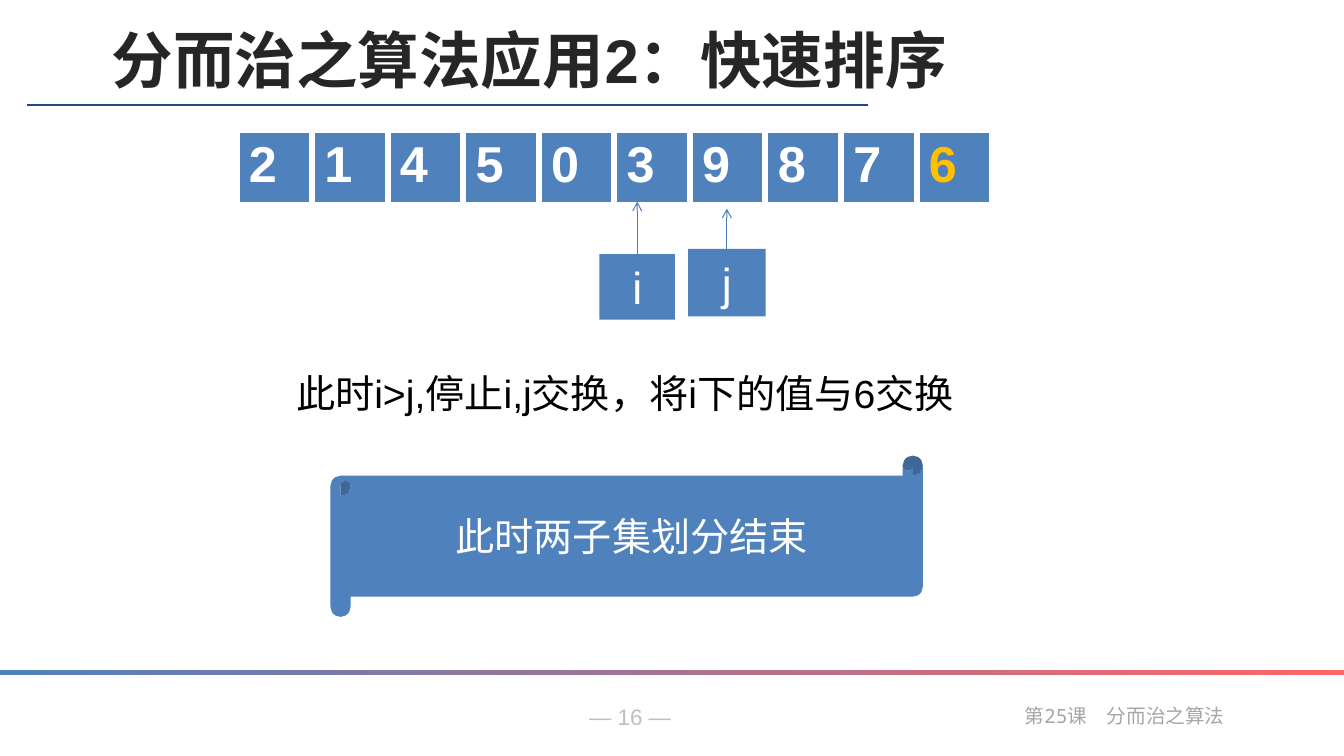
"""Build the quicksort slide where i has passed j and partitioning ends."""
import pptx
import pptx.dml.color
import pptx.enum.shapes
import pptx.enum.text
import pptx.oxml
import pptx.oxml.ns
import pptx.util
from pptx.util import Inches

RGBColor = pptx.dml.color.RGBColor
BLUE = RGBColor(0x4F, 0x81, 0xBD)
ARROW_BLUE = RGBColor(0x4A, 0x7E, 0xBB)
NAVY = RGBColor(0x1F, 0x49, 0x7D)
PALE_RED = RGBColor(0xFF, 0x66, 0x66)
GOLD = RGBColor(0xFF, 0xC0, 0x00)
WHITE = RGBColor(0xFF, 0xFF, 0xFF)
BLACK = RGBColor(0x00, 0x00, 0x00)
CHARCOAL = RGBColor(0x26, 0x26, 0x26)
LIGHT_GRAY = RGBColor(0xBF, 0xBF, 0xBF)
GRAY = RGBColor(0xA6, 0xA6, 0xA6)

SHAPE = pptx.enum.shapes.MSO_SHAPE
STRAIGHT = pptx.enum.shapes.MSO_CONNECTOR.STRAIGHT
NAMESPACE = pptx.oxml.ns.nsdecls("a")


def write(frame, text, size, color, font="Arial", bold=False):
    """Add one formatted run to the first paragraph of a text frame."""
    frame.word_wrap = True
    run = frame.paragraphs[0].add_run()
    run.text = text
    run.font.size = pptx.util.Pt(size)
    run.font.name = font
    run.font.bold = bold
    run.font.color.rgb = color


def style_line(connector, color, width):
    """Give a connector its colour and width, without a shadow."""
    connector.line.color.rgb = color
    connector.line.width = pptx.util.Pt(width)
    connector._element.spPr.append(pptx.oxml.parse_xml(f"<a:effectLst {NAMESPACE}/>"))


deck = pptx.Presentation()
deck.slide_width = Inches(13.34)
deck.slide_height = Inches(7.5)
slide = deck.slides.add_slide(deck.slide_layouts[6])
shapes = slide.shapes

title_rule = shapes.add_connector(STRAIGHT, Inches(0.27), Inches(1.04), Inches(8.62), Inches(1.04))
style_line(title_rule, NAVY, 1)

footer_bar = shapes.add_shape(SHAPE.RECTANGLE, 0, Inches(6.65), deck.slide_width, Inches(0.05))
footer_bar.shadow.inherit = False
footer_bar.line.fill.background()
footer_bar.fill.gradient()
footer_bar.fill.gradient_angle = 0
for stop, color in zip(footer_bar.fill.gradient_stops, (BLUE, PALE_RED)):
    stop.color.rgb = color

captions = [
    ("— 16 —", 5.75, 6.93, 1.9, 0.37, 16, LIGHT_GRAY, "Arial", False),
    ("第25课　分而治之算法", 10.07, 6.93, 2.27, 0.34, 14, GRAY, "Noto Sans Mono", False),
    ("分而治之算法应用2：快速排序", 1.01, 0.17, 10, 0.84, 44, CHARCOAL, "Arial", True),
    ("此时i>j,停止i,j交换，将i下的值与6交换", 2.84, 3.47, 9, 0.71, 28, BLACK, "Arial", False),
]
for text, left, top, width, height, size, color, font, bold in captions:
    caption = shapes.add_textbox(Inches(left), Inches(top), Inches(width), Inches(height))
    write(caption.text_frame, text, size, color, font, bold)
caption.text_frame.paragraphs[0].line_spacing = 1.3

numbers = "2145039876"
pivot = "6"
for index, number in enumerate(numbers):
    number_table = shapes.add_table(
        1, 1, Inches(2.37 + 0.75 * index), Inches(1.31), Inches(0.7), Inches(0.7)
    ).table
    number_table.first_row = False
    number_table.horz_banding = False
    cell = number_table.cell(0, 0)
    cell_properties = cell._tc.get_or_add_tcPr()
    for side, points in (("L", 0.45), ("R", 0.45), ("T", 0.45), ("B", 1.47)):
        cell_properties.append(pptx.oxml.parse_xml(
            f'<a:ln{side} {NAMESPACE} w="{pptx.util.Pt(points)}"><a:solidFill>'
            f'<a:srgbClr val="{WHITE}"/></a:solidFill></a:ln{side}>'
        ))
    cell.fill.solid()
    cell.fill.fore_color.rgb = BLUE
    write(cell.text_frame, number, 36, GOLD if number == pivot else WHITE, bold=True)

panels = [
    ("i", SHAPE.RECTANGLE, 5.95, 2.52, 0.75, 0.65, 32, 2),
    ("j", SHAPE.RECTANGLE, 6.83, 2.47, 0.77, 0.67, 32, 2.07),
    ("此时两子集划分结束", SHAPE.HORIZONTAL_SCROLL, 3.28, 4.52, 5.88, 1.6, 28, None),
]
for text, outline, left, top, width, height, size, arrow_tip in panels:
    panel = shapes.add_shape(outline, Inches(left), Inches(top), Inches(width), Inches(height))
    panel.shadow.inherit = False
    panel.fill.solid()
    panel.fill.fore_color.rgb = BLUE
    panel.line.fill.background()
    panel.text_frame.vertical_anchor = pptx.enum.text.MSO_ANCHOR.MIDDLE
    panel.text_frame.paragraphs[0].alignment = pptx.enum.text.PP_ALIGN.CENTER
    write(panel.text_frame, text, size, WHITE)
    if arrow_tip:
        middle = Inches(left + width / 2)
        arrow = shapes.add_connector(STRAIGHT, middle, Inches(top), middle, Inches(arrow_tip))
        arrow.begin_connect(panel, 0)
        style_line(arrow, ARROW_BLUE, 0.75)
        arrow.line._get_or_add_ln().append(
            pptx.oxml.parse_xml(f'<a:tailEnd {NAMESPACE} type="arrow"/>')
        )

deck.save("out.pptx")
